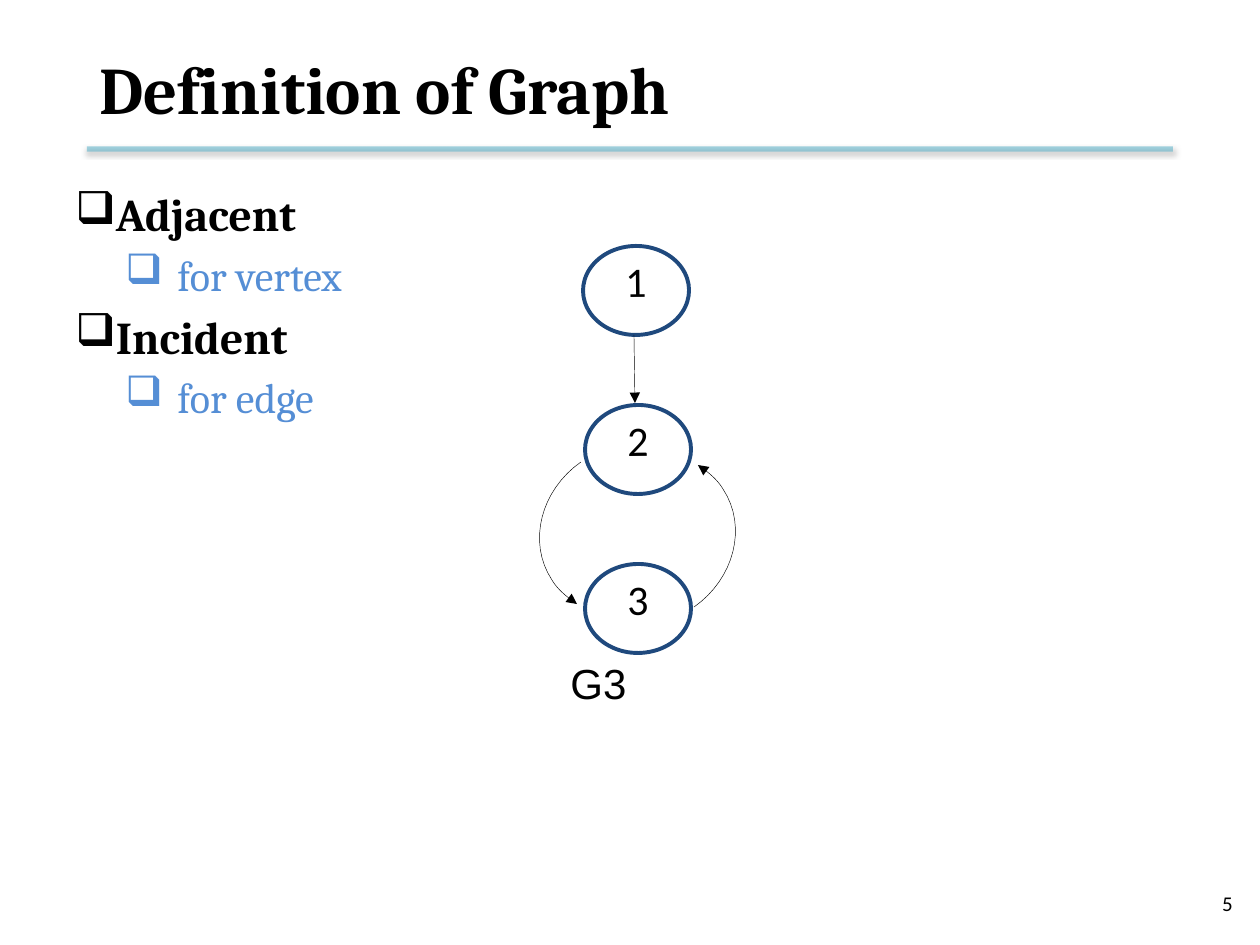
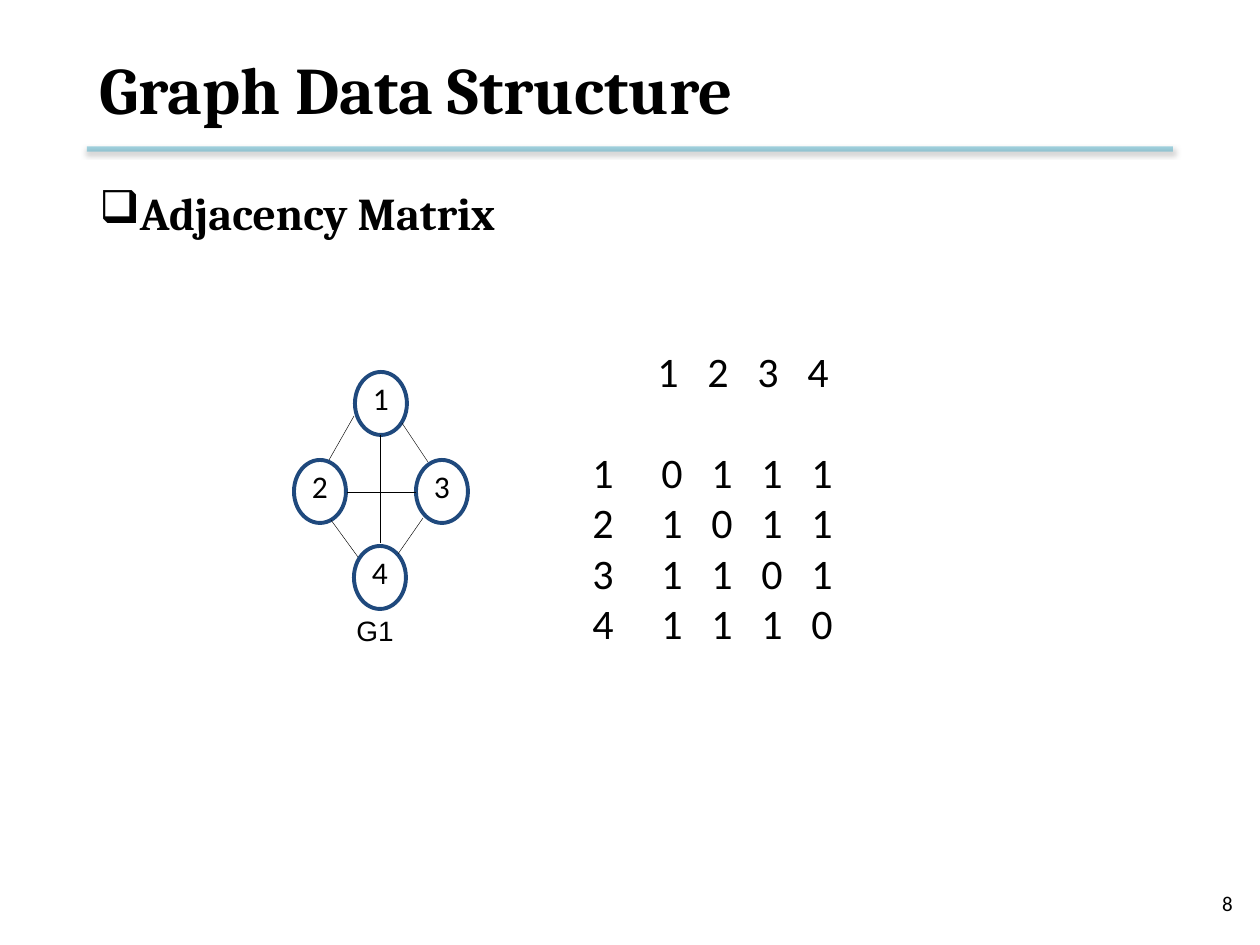
from pptx import Presentation
from pptx.dml.color import RGBColor
from pptx.enum.shapes import MSO_CONNECTOR as CONNECTOR, MSO_SHAPE as SHAPE
from pptx.enum.text import MSO_ANCHOR as ANCHOR, PP_ALIGN as ALIGN
from pptx.oxml import parse_xml
from pptx.oxml.ns import nsdecls
from pptx.util import Pt

PX = 914400 / 126  # EMU in one px
BLACK, NODE_BLUE, RULE_TEAL, SUB_BLUE = "000000", "1F497D", "4BACC6", "558ED5"
HEADING, BODY, CAPTION = "Cambria", "Calibri", "Arial"
# size, bold, colour, left margin, indent for each outline level
OUTLINE = [(26, True, BLACK, 32, -57), (24, False, SUB_BLUE, 102, -52)]


def px(length):
    return round(length * PX)


def rgb(code):
    return RGBColor.from_string(code)


def xml(tag, attributes="", inner=""):
    return parse_xml(f'<a:{tag} {nsdecls("a")} {attributes}>{inner}</a:{tag}>')


# ---- Text ----
def write(frame, text, size=24, font=BODY, color=BLACK, bold=False,
          align=ALIGN.LEFT, before=0, spacing=None, bullet=None, tabs=()):
    """Add one paragraph; bullet is (left margin, indent), tabs are px stops."""
    first = not frame.paragraphs[0].runs
    paragraph = frame.paragraphs[0] if first else frame.add_paragraph()
    props = paragraph._p.get_or_add_pPr()
    if bullet:
        margin, indent = bullet
        props.set("marL", str(px(margin)))
        props.set("indent", str(px(indent)))
        props.append(xml("buChar", 'char="❑"'))
    if tabs:
        stops = "".join(f'<a:tab pos="{px(stop)}" algn="l"/>' for stop in tabs)
        props.append(xml("tabLst", inner=stops))
    paragraph.alignment = align
    paragraph.space_before = Pt(0 if first else before)
    if spacing:
        paragraph.line_spacing = spacing
    run = paragraph.add_run()
    run.text = text
    run.font.size, run.font.name, run.font.bold = Pt(size), font, bold
    run.font.color.rgb = rgb(color)


def text_area(slide, left, top, width, height, anchor=ANCHOR.TOP, wrap=True):
    frame = slide.shapes.add_textbox(*map(px, (left, top, width, height))).text_frame
    frame.word_wrap, frame.vertical_anchor = wrap, anchor
    return frame


def add_outline(slide, left, top, width, height, items):
    frame = text_area(slide, left, top, width, height)
    for level, text in items:
        size, bold, color, margin, indent = OUTLINE[level]
        write(frame, text, size, HEADING, color, bold,
              before=size * 0.2, bullet=(margin, indent))


def add_caption(slide, text, left, top, width, height, size):
    frame = text_area(slide, left, top, width, height, ANCHOR.MIDDLE, wrap=False)
    write(frame, text, size, CAPTION)


# ---- Graph parts ----
def add_node(slide, label, left, top, width, height, size, rotation=0):
    node = slide.shapes.add_shape(SHAPE.OVAL, *map(px, (left, top, width, height)))
    node.rotation = rotation
    node.shadow.inherit = False
    node.fill.background()
    node.line.color.rgb, node.line.width = rgb(NODE_BLUE), Pt(2.25)
    frame = node.text_frame
    frame.margin_left = frame.margin_right = frame.margin_top = frame.margin_bottom = 0
    frame.vertical_anchor = ANCHOR.TOP
    write(frame, label, size, align=ALIGN.CENTER, spacing=0.96)


def style_edge(edge, arrow):
    edge.line.color.rgb, edge.line.width = rgb(BLACK), Pt(0.25)
    if arrow:
        edge.line._get_or_add_ln().append(xml("tailEnd", 'type="triangle"'))


def add_line(slide, x1, y1, x2, y2):
    return slide.shapes.add_connector(CONNECTOR.STRAIGHT, *map(px, (x1, y1, x2, y2)))


def add_edge(slide, x1, y1, x2, y2, arrow=False):
    edge = add_line(slide, x1, y1, x2, y2)
    style_edge(edge, arrow)
    edge._element.spPr.append(xml("effectLst"))


def bezier(points, steps=16):
    """Points along a cubic curve, without its start."""
    for step in range(1, steps + 1):
        t = step / steps
        weights = ((1 - t) ** 3, 3 * t * (1 - t) ** 2, 3 * t * t * (1 - t), t ** 3)
        yield tuple(sum(w * p[axis] for w, p in zip(weights, points)) for axis in (0, 1))


def add_curved_edge(slide, controls):
    outline = [*bezier(controls[:4]), *bezier(controls[3:])]
    builder = slide.shapes.build_freeform(*map(px, controls[0]))
    builder.add_line_segments([(px(x), px(y)) for x, y in outline], close=False)
    edge = builder.convert_to_shape()
    edge.shadow.inherit = False
    edge.fill.background()
    style_edge(edge, arrow=True)


# ---- Shared slide frame ----
def add_title_rule(slide):
    rule = add_line(slide, 87, 149, 1173, 149)
    rule.line.color.rgb, rule.line.width = rgb(RULE_TEAL), Pt(3)
    rule.line._get_or_add_ln().find(".//{*}srgbClr").append(xml("alpha", 'val="50000"'))
    shade = '<a:srgbClr val="000000"><a:alpha val="38000"/></a:srgbClr>'
    shadow = (f'<a:outerShdw blurRad="{Pt(3.1)}" dist="{Pt(1.6)}" dir="5400000" '
              f'rotWithShape="0">{shade}</a:outerShdw>')
    rule._element.spPr.append(xml("effectLst", inner=shadow))


def add_framed_slide(deck, title, number):
    slide = deck.slides.add_slide(deck.slide_layouts[6])
    add_title_rule(slide)
    write(text_area(slide, 951, 878, 294, 50, ANCHOR.MIDDLE), number, 12, align=ALIGN.RIGHT)
    write(text_area(slide, 87, 21, 1086, 134, ANCHOR.MIDDLE), title, 38, HEADING, bold=True)
    return slide


# ---- Slides ----
def build_definition(deck):
    slide = add_framed_slide(deck, "Definition of Graph", "5")
    add_outline(slide, 63, 180, 1134, 624, [
        (0, "Adjacent"), (1, "for vertex"), (0, "Incident"), (1, "for edge")])
    for index, left in enumerate((583, 585, 585)):
        add_node(slide, str(index + 1), left, 246 + 159 * index, 106, 89, 24, 359.5)
    add_edge(slide, 634, 335, 635, 403, arrow=True)
    down = [(581, 462), (541, 490), (527, 542), (552, 580), (558, 590), (567, 597), (577, 604)]
    up = [(1275 - x, 1069 - y) for x, y in down]  # half turn about the middle
    for controls in (down, up):
        add_curved_edge(slide, controls)
    add_caption(slide, "G3", 558, 651, 93, 63, 24)


def build_matrix(deck):
    slide = add_framed_slide(deck, "Graph Data Structure", "8")
    add_outline(slide, 87, 179, 1086, 643, [(0, "Adjacency Matrix")])

    # Adjacency matrix: every vertex joins every other one
    matrix = text_area(slide, 580, 339, 345, 428)
    vertices = range(1, 5)
    write(matrix, "\t" + "\t".join(map(str, vertices)),
          tabs=[65 + 50 * column for column in range(4)])
    for row in vertices:
        cells = [row, *(int(row != column) for column in vertices)]
        write(matrix, "\t".join(map(str, cells)), before=29 if row == 1 else 0,
              tabs=[69 + 50 * column for column in range(4)])

    # Graph G1
    for label, left, top in (("1", 355, 372), ("3", 416, 460), ("4", 354, 546), ("2", 294, 460)):
        add_node(slide, label, left, top, 52, 63, 18)
    for ends in ((402, 423, 428, 462), (398, 554, 423, 518), (331, 520, 358, 557),
                 (329, 460, 354, 416), (347, 492, 416, 492), (380, 435, 380, 543)):
        add_edge(slide, *ends)
    add_caption(slide, "G1", 344, 607, 71, 47, 16)


def main():
    deck = Presentation()
    deck.slide_width, deck.slide_height = px(1260), px(945)
    build_definition(deck)
    build_matrix(deck)
    deck.save("out.pptx")


if __name__ == "__main__":
    main()
